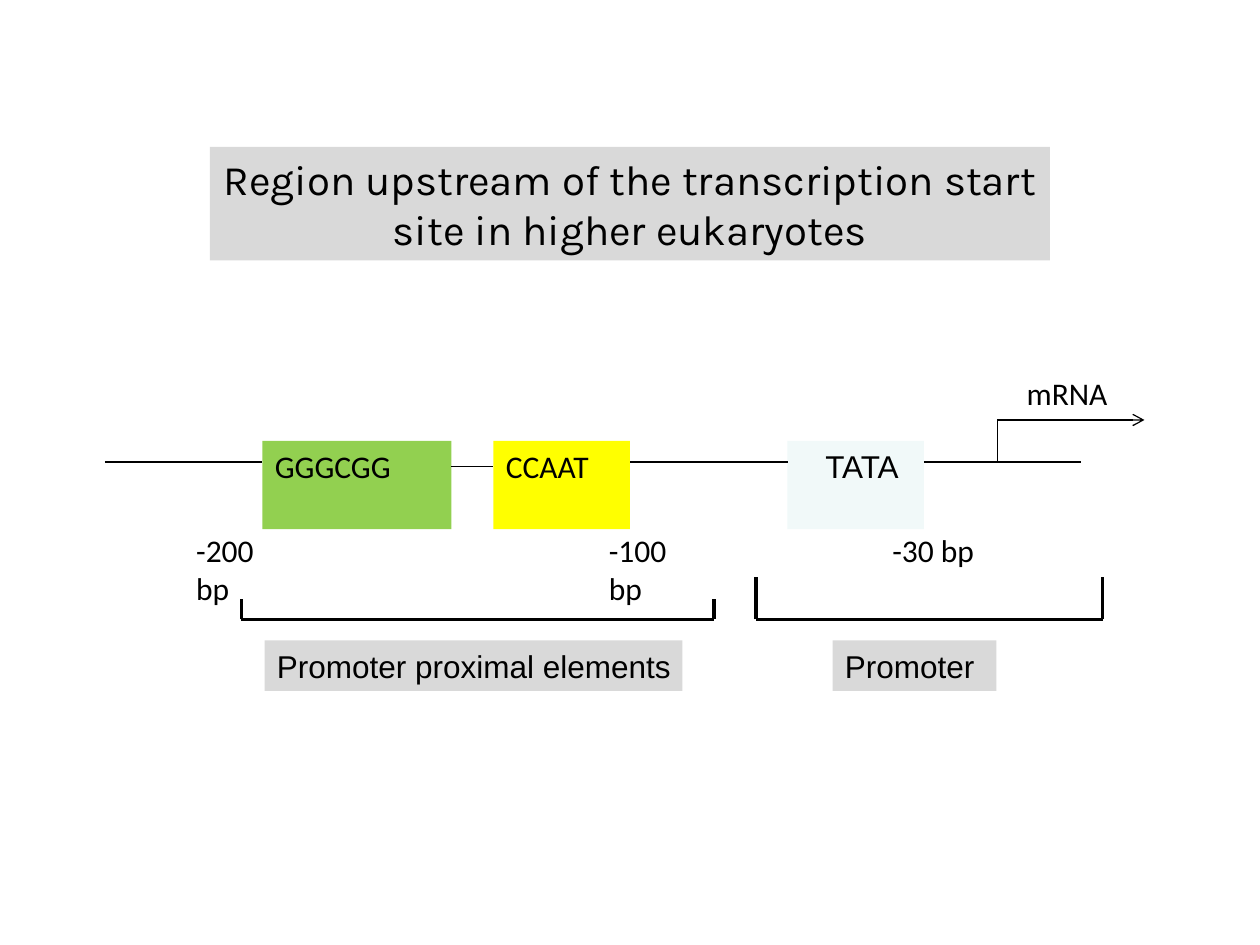
from pptx import Presentation
from pptx.dml.color import RGBColor
from pptx.enum.shapes import MSO_CONNECTOR as Connector, MSO_SHAPE as Preset
from pptx.enum.text import MSO_ANCHOR as Anchor, PP_ALIGN as Align
from pptx.oxml.ns import qn
from pptx.util import Inches, Pt
from lxml.etree import SubElement

BLACK = RGBColor(0x00, 0x00, 0x00)
GREEN = RGBColor(0x92, 0xD0, 0x50)
YELLOW = RGBColor(0xFF, 0xFF, 0x00)
PALE = RGBColor(0xF1, 0xF9, 0xF9)
GREY = RGBColor(0xD9, 0xD9, 0xD9)

# The slide is a grid of 120 columns by 90 rows, twelve to the inch.
COLUMNS, ROWS = 120, 90
DNA_ROW, ARROW_ROW, BRACKET_ROW = 44, 40, 59
BOX_ROW, BOX_HEIGHT = 42, 8.4
LABEL_HEIGHT = 4.8


def grid(cells):
    return Inches(cells / 12)


def write(shape, text, font, size=18, align=Align.LEFT, wrap=True, indent=0):
    frame = shape.text_frame
    frame.word_wrap = wrap
    frame.vertical_anchor = Anchor.TOP
    frame.margin_left = Inches(0.1 + indent)
    para = frame.paragraphs[0]
    para.alignment = align
    span = para.add_run()
    span.text = text
    span.font.name = font
    span.font.size = Pt(size)
    span.font.color.rgb = BLACK


def add_box(page, left, top, width, height, fill, text, font, **style):
    box = page.shapes.add_shape(
        Preset.RECTANGLE, grid(left), grid(top), grid(width), grid(height))
    box.shadow.inherit = False
    box.fill.solid()
    box.fill.fore_color.rgb = fill
    box.line.fill.background()
    write(box, text, font, **style)


def add_label(page, left, top, width, text):
    label = page.shapes.add_textbox(
        grid(left), grid(top), grid(width), grid(LABEL_HEIGHT))
    write(label, text, "Calibri", wrap=False)


def add_line(shapes, start, end, weight=0.75, arrow=False):
    line = shapes.add_connector(
        Connector.STRAIGHT, *(grid(cells) for cells in (*start, *end)))
    line.line.color.rgb = BLACK
    line.line.width = Pt(weight)
    if arrow:
        SubElement(line.line._get_or_add_ln(), qn("a:tailEnd"), type="arrow")
    SubElement(line._element.spPr, qn("a:effectLst"))


def add_bracket(page, left, right, tick_row):
    """Draw an upward-opening bracket as a group of three lines."""
    shapes = page.shapes.add_group_shape().shapes
    add_line(shapes, (left, BRACKET_ROW), (right, BRACKET_ROW), 2.25)
    for column in (right, left):
        add_line(shapes, (column, BRACKET_ROW), (column, tick_row), 2.25)


def main():
    deck = Presentation()
    deck.slide_width, deck.slide_height = grid(COLUMNS), grid(ROWS)
    page = deck.slides.add_slide(deck.slide_layouts[6])

    add_box(page, 20, 14, 80, 10.8, GREY,
            "Region upstream of the transcription start site in higher eukaryotes",
            "Karla", size=24, align=Align.CENTER)

    for left, width, fill, text, font, indent in (
            (25, 18, GREEN, "GGGCGG", "Calibri", 0),
            (47, 13, YELLOW, "CCAAT", "Calibri", 0),
            (75, 13, PALE, "TATA", "Arial", 0.2)):
        add_box(page, left, BOX_ROW, width, BOX_HEIGHT, fill, text, font,
                indent=indent)

    for left, right, row in ((10, 25, DNA_ROW), (43, 47, DNA_ROW + 0.4),
                             (60, 75, DNA_ROW), (88, 103, DNA_ROW)):
        add_line(page.shapes, (left, row), (right, row))
    add_line(page.shapes, (95, DNA_ROW), (95, ARROW_ROW))
    add_line(page.shapes, (95, ARROW_ROW), (109, ARROW_ROW), arrow=True)

    for left, top, width, text in (
            (96.6, 35, 10.1, "mRNA"), (17.5, 50, 11.6, "-200 bp"),
            (56.8, 50, 11.6, "-100 bp"), (83.8, 50, 10.2, "-30 bp")):
        add_label(page, left, top, width, text)

    add_bracket(page, 23, 68, 57)
    add_bracket(page, 72, 105, 55)
    add_box(page, 25.2, 61, 39.8, LABEL_HEIGHT, GREY,
            "Promoter proximal elements", "Arial", wrap=False)
    add_box(page, 79.3, 61, 15.6, LABEL_HEIGHT, GREY, "Promoter", "Arial")

    deck.save("out.pptx")


if __name__ == "__main__":
    main()
